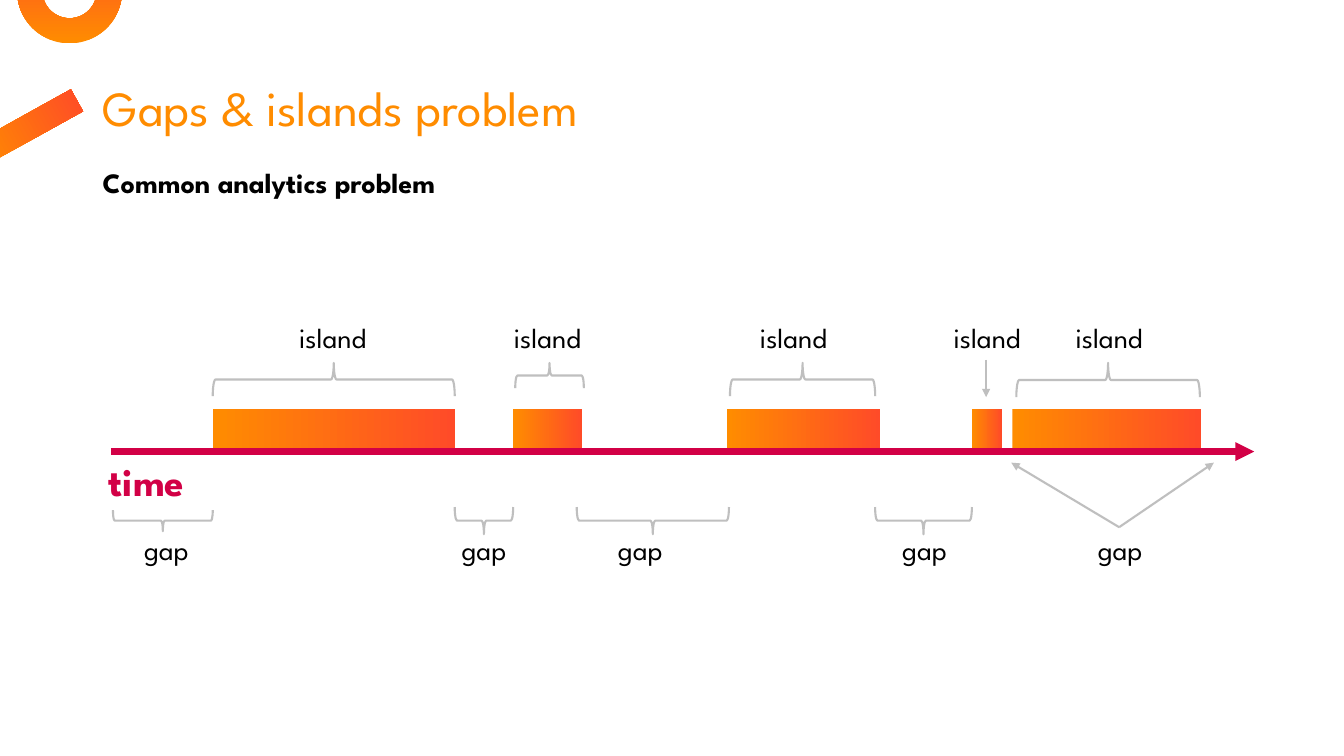
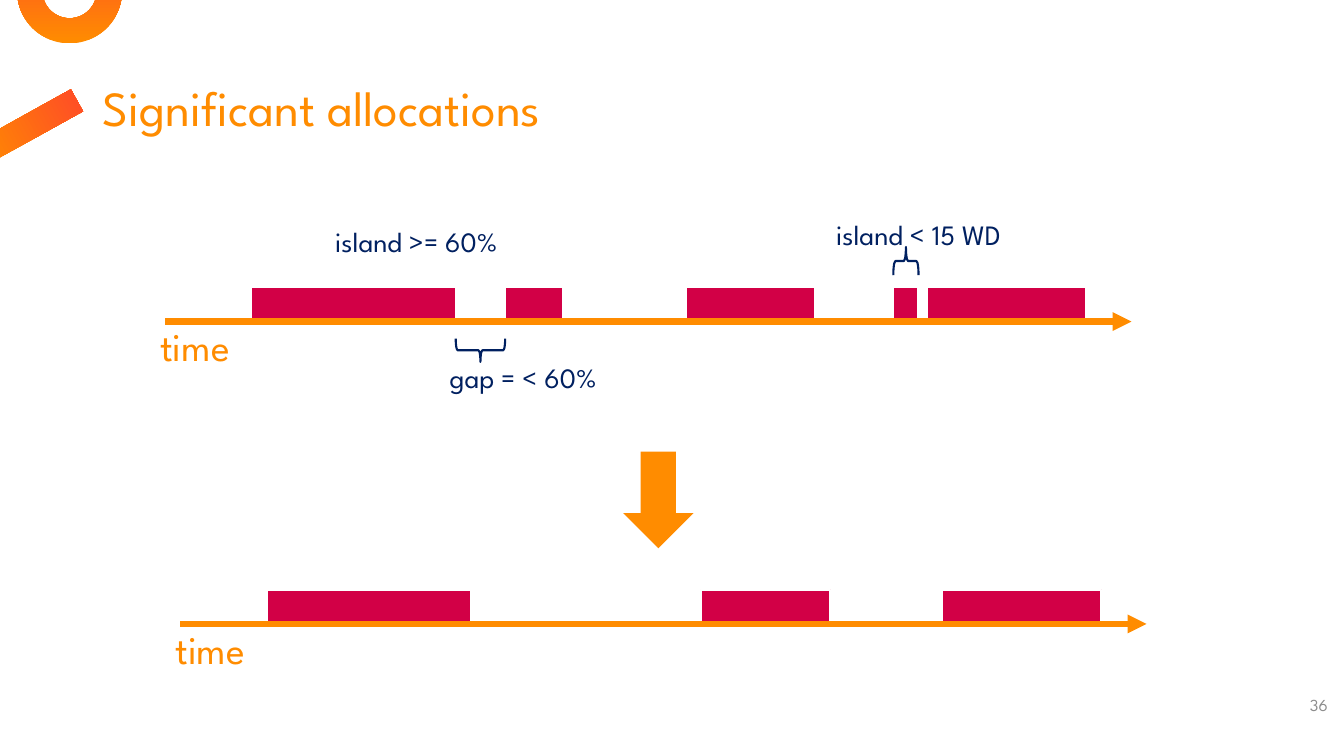
from dataclasses import dataclass

import lxml.etree
import pptx
import pptx.dml.color
import pptx.dml.fill
import pptx.enum.shapes
import pptx.enum.text
import pptx.oxml.ns
import pptx.presentation
import pptx.shapes.autoshape
import pptx.shapes.base
import pptx.slide
import pptx.util

COLUMNS, ROWS = 13.33, 7.5
CELL = pptx.util.Inches(1)
FONT = "League Spartan"

ORANGE = pptx.dml.color.RGBColor(0xFF, 0x8C, 0x00)
CORAL = pptx.dml.color.RGBColor(0xFF, 0x4B, 0x28)
CRIMSON = pptx.dml.color.RGBColor(0xD2, 0x00, 0x46)
NAVY = pptx.dml.color.RGBColor(0x00, 0x20, 0x60)
SILVER = pptx.dml.color.RGBColor(0xBF, 0xBF, 0xBF)
GRAY = pptx.dml.color.RGBColor(0x8C, 0x8C, 0x8C)
BLACK = pptx.dml.color.RGBColor(0x00, 0x00, 0x00)
WHITE = pptx.dml.color.RGBColor(0xFF, 0xFF, 0xFF)

SHAPE = pptx.enum.shapes.MSO_SHAPE
ALIGN = pptx.enum.text.PP_ALIGN
ANCHOR = pptx.enum.text.MSO_ANCHOR
AUTO_SIZE = pptx.enum.text.MSO_AUTO_SIZE


@dataclass(frozen=True)
class Box:
    left: float
    top: float
    width: float
    height: float


@dataclass(frozen=True)
class Island:
    offset: float
    width: float


@dataclass(frozen=True)
class Timeline:
    left: float
    axis: float
    scale: float
    bar_top: float
    bar_height: float
    islands: tuple[Island, ...]
    axis_color: pptx.dml.color.RGBColor
    bar_color: pptx.dml.color.RGBColor | None
    bar_outline: pptx.dml.color.RGBColor | None
    label_left: float
    label_top: float
    label_bold: bool


@dataclass(frozen=True)
class Brace:
    start: float
    width: float
    top: float
    depth: float
    opens_down: bool


ISLANDS = (
    Island(1.01, 2.4),
    Island(3.99, 0.68),
    Island(6.11, 1.52),
    Island(8.54, 0.3),
    Island(8.94, 1.87),
)
AXIS_LENGTH = 11.34
ISLAND_CENTERS = (3.3, 5.43, 7.87, 9.79, 11)
GAP_CENTERS = (1.65, 4.8, 6.35, 9.17, 11.11)

PROBLEM_BRACES = (
    Brace(2.11, 2.4, 3.6, 0.33, True),
    Brace(5.11, 0.68, 3.6, 0.25, True),
    Brace(7.24, 1.44, 3.6, 0.33, True),
    Brace(10.08, 1.82, 3.6, 0.34, True),
    Brace(1.12, 0.99, 5.06, 0.21, False),
    Brace(4.51, 0.58, 5.03, 0.27, False),
    Brace(5.72, 1.51, 5.03, 0.27, False),
    Brace(8.68, 0.96, 5.03, 0.27, False),
)
ALLOCATION_BRACES = (
    Brace(8.86, 0.25, 2.45, 0.28, True),
    Brace(4.52, 0.49, 3.36, 0.23, False),
)


def cells(*lengths: float) -> list[int]:
    return [round(length * CELL) for length in lengths]


def place(shape: pptx.shapes.base.BaseShape, box: Box) -> None:
    shape.left, shape.top, shape.width, shape.height = cells(
        box.left, box.top, box.width, box.height
    )


def apply_gradient(fill: pptx.dml.fill.FillFormat, angle: float) -> None:
    fill.gradient()
    fill.gradient_angle = angle
    for stop, color in zip(fill.gradient_stops, (ORANGE, CORAL)):
        stop.color.rgb = color


def write(
    shape: pptx.shapes.autoshape.Shape,
    text: str,
    *,
    size: float = 20,
    color: pptx.dml.color.RGBColor | None = BLACK,
    bold: bool = False,
    align: ALIGN = ALIGN.LEFT,
    anchor: ANCHOR = ANCHOR.TOP,
    auto_size: AUTO_SIZE = AUTO_SIZE.NONE,
    line_spacing: float = 1.0,
) -> None:
    frame = shape.text_frame
    frame.word_wrap = True
    frame.auto_size = auto_size
    frame.vertical_anchor = anchor
    paragraph = frame.paragraphs[0]
    paragraph.alignment = align
    paragraph.line_spacing = line_spacing
    run = paragraph.add_run()
    run.text = text
    run.font.name = FONT
    run.font.size = pptx.util.Pt(size)
    run.font.bold = bold
    if color is None:
        apply_gradient(run.font.fill, 0)
    else:
        run.font.color.rgb = color


def add_text(
    slide: pptx.slide.Slide, box: Box, text: str, **text_format
) -> pptx.shapes.autoshape.Shape:
    shape = slide.shapes.add_textbox(*cells(box.left, box.top, box.width, box.height))
    write(shape, text, **text_format)
    return shape


def add_label(
    slide: pptx.slide.Slide, center: float, top: float, width: float, text: str,
    color: pptx.dml.color.RGBColor = BLACK,
) -> None:
    box = Box(center - width / 2, top, width, 0.44)
    add_text(slide, box, text, color=color, align=ALIGN.CENTER,
             auto_size=AUTO_SIZE.SHAPE_TO_FIT_TEXT)


def add_shape(
    slide: pptx.slide.Slide,
    kind: SHAPE,
    box: Box,
    *,
    color: pptx.dml.color.RGBColor | None = None,
    angle: float = 0,
    outline: pptx.dml.color.RGBColor | None = None,
    rotation: float = 0,
) -> pptx.shapes.autoshape.Shape:
    shape = slide.shapes.add_shape(kind, *cells(box.left, box.top, box.width, box.height))
    shape.shadow.inherit = False
    shape.rotation = rotation
    if color is None:
        apply_gradient(shape.fill, angle)
    else:
        shape.fill.solid()
        shape.fill.fore_color.rgb = color
    if outline is None:
        shape.line.fill.background()
    else:
        shape.line.color.rgb = outline
        shape.line.width = pptx.util.Pt(1.5)
    return shape


def add_brace(
    slide: pptx.slide.Slide, brace: Brace, color: pptx.dml.color.RGBColor
) -> None:
    box = Box(
        brace.start + (brace.width - brace.depth) / 2,
        brace.top + (brace.depth - brace.width) / 2,
        brace.depth,
        brace.width,
    )
    shape = add_shape(slide, SHAPE.LEFT_BRACE, box, outline=color,
                      rotation=90 if brace.opens_down else 270)
    shape.fill.background()


def add_arrow(
    slide: pptx.slide.Slide,
    start: tuple[float, float],
    end: tuple[float, float],
    color: pptx.dml.color.RGBColor,
    width: float = 1.5,
) -> None:
    connector = slide.shapes.add_connector(
        pptx.enum.shapes.MSO_CONNECTOR.STRAIGHT, *cells(*start, *end)
    )
    connector.line.color.rgb = color
    connector.line.width = pptx.util.Pt(width)
    qualify = pptx.oxml.ns.qn
    properties = connector.element.spPr
    line = properties.find(qualify("a:ln"))
    lxml.etree.SubElement(line, qualify("a:tailEnd"), type="triangle")
    lxml.etree.SubElement(properties, qualify("a:effectLst"))


def add_timeline(slide: pptx.slide.Slide, timeline: Timeline) -> None:
    for island in timeline.islands:
        box = Box(timeline.left + island.offset * timeline.scale, timeline.bar_top,
                  island.width * timeline.scale, timeline.bar_height)
        add_shape(slide, SHAPE.RECTANGLE, box, color=timeline.bar_color,
                  outline=timeline.bar_outline)
    end = timeline.left + AXIS_LENGTH * timeline.scale
    add_arrow(slide, (timeline.left, timeline.axis), (end, timeline.axis),
              timeline.axis_color, 4.5)
    add_text(slide, Box(timeline.label_left, timeline.label_top, 1.35, 0.57), "time",
             size=28, color=timeline.axis_color, bold=timeline.label_bold,
             auto_size=AUTO_SIZE.SHAPE_TO_FIT_TEXT)


def add_slide(
    presentation: pptx.presentation.Presentation, title: str
) -> pptx.slide.Slide:
    layout = presentation.slide_layouts.get_by_name("Title Only")
    slide = presentation.slides.add_slide(layout)
    place(slide.shapes.title, Box(0.92, 0.53, 11.5, 0.88))
    write(slide.shapes.title, title, size=35, color=None, anchor=ANCHOR.BOTTOM,
          line_spacing=0.9)
    return slide


def decorate_layout(slide: pptx.slide.Slide) -> None:
    ring = add_shape(slide, SHAPE.DONUT, Box(0.17, -0.61, 1.04, 1.04), angle=90)
    ring.adjustments[0] = 0.24
    bar = add_shape(slide, SHAPE.RECTANGLE, Box(0.17, 0.72, 0.25, 1.07), angle=90,
                    rotation=61)
    for shape in (ring, bar):
        slide.slide_layout.shapes.element.append(shape.element)


def build_problem(presentation: pptx.presentation.Presentation) -> None:
    slide = add_slide(presentation, "Gaps & islands problem")
    decorate_layout(slide)
    add_text(slide, Box(0.92, 1.59, 11.5, 0.8), "Common analytics problem", bold=True)
    for center in ISLAND_CENTERS:
        add_label(slide, center, 3.13, 1.73, "island")
    for center in GAP_CENTERS:
        add_label(slide, center, 5.23, 1.23, "gap")
    for brace in PROBLEM_BRACES:
        add_brace(slide, brace, SILVER)
    add_arrow(slide, (9.78, 3.57), (9.78, 3.94), SILVER)
    for tip in (10.03, 12.04):
        add_arrow(slide, (11.1, 5.23), (tip, 4.59), SILVER)
    add_timeline(slide, Timeline(1.1, 4.48, 1, 4.06, 0.41, ISLANDS, CRIMSON, None, None,
                                 0.98, 4.49, True))


def build_allocations(presentation: pptx.presentation.Presentation) -> None:
    slide = add_slide(presentation, "Significant allocations")
    number = add_text(slide, Box(11.51, 6.79, 1.66, 0.4), "36", size=12, color=GRAY,
                      align=ALIGN.RIGHT, anchor=ANCHOR.MIDDLE)
    number.text_frame.margin_right = 0
    for shift, drop, islands in ((0, 0, ISLANDS), (0.15, 3, ISLANDS[::2])):
        add_timeline(slide, Timeline(1.64 + shift, 3.19 + drop, 0.845, 2.85 + drop, 0.35,
                                     islands, ORANGE, CRIMSON, WHITE,
                                     1.49 + shift, 3.15 + drop, False))
    add_label(slide, 4.13, 2.18, 2.8, "island >= 60%", NAVY)
    add_label(slide, 9.11, 2.11, 3.01, "island < 15 WD", NAVY)
    add_label(slide, 5.19, 3.53, 3.27, "gap = < 60%", NAVY)
    for brace in ALLOCATION_BRACES:
        add_brace(slide, brace, NAVY)
    add_shape(slide, SHAPE.DOWN_ARROW, Box(6.18, 4.48, 0.7, 0.96), color=ORANGE)


def main() -> None:
    presentation = pptx.Presentation()
    presentation.slide_width, presentation.slide_height = cells(COLUMNS, ROWS)
    build_problem(presentation)
    build_allocations(presentation)
    presentation.save("out.pptx")


if __name__ == "__main__":
    main()
